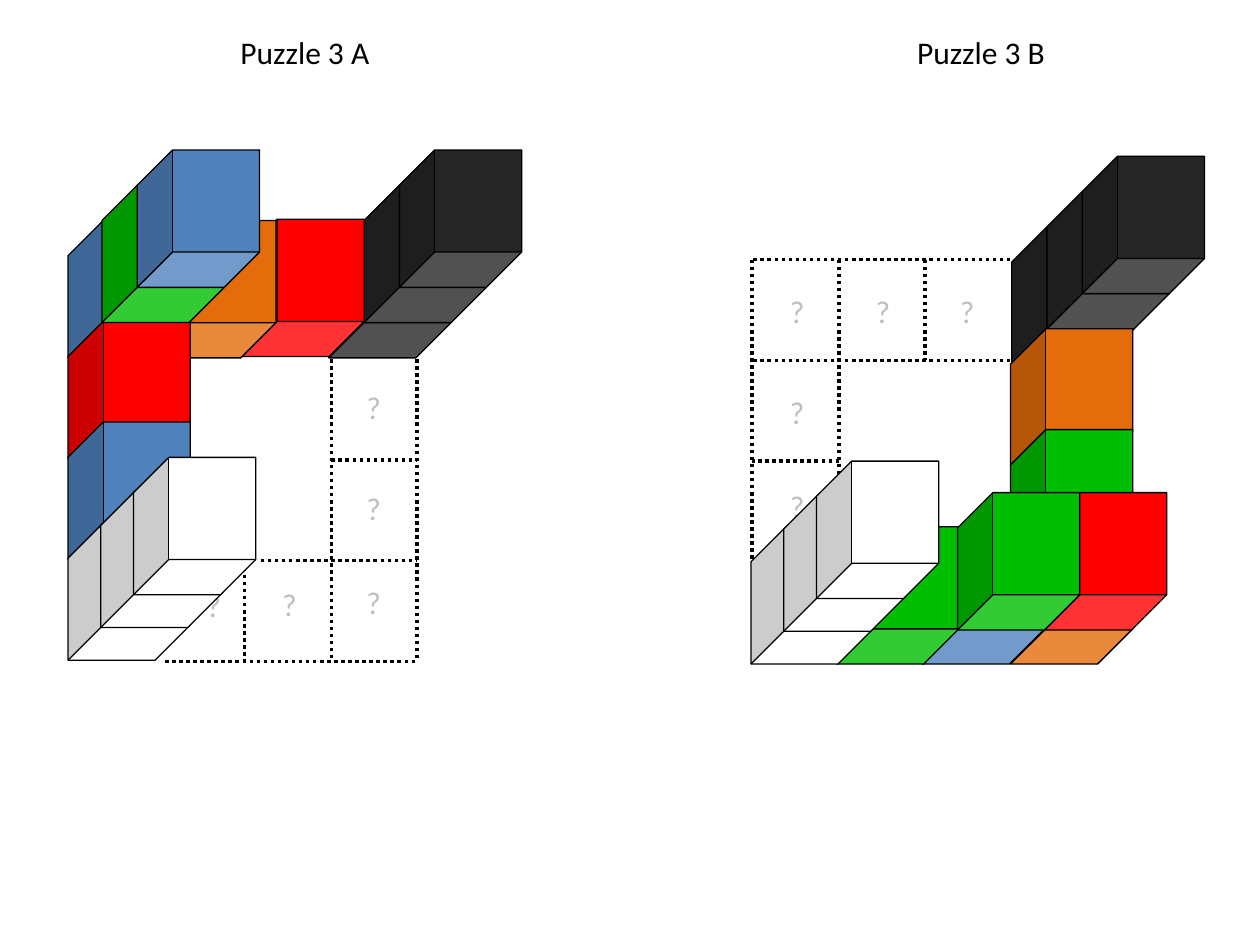
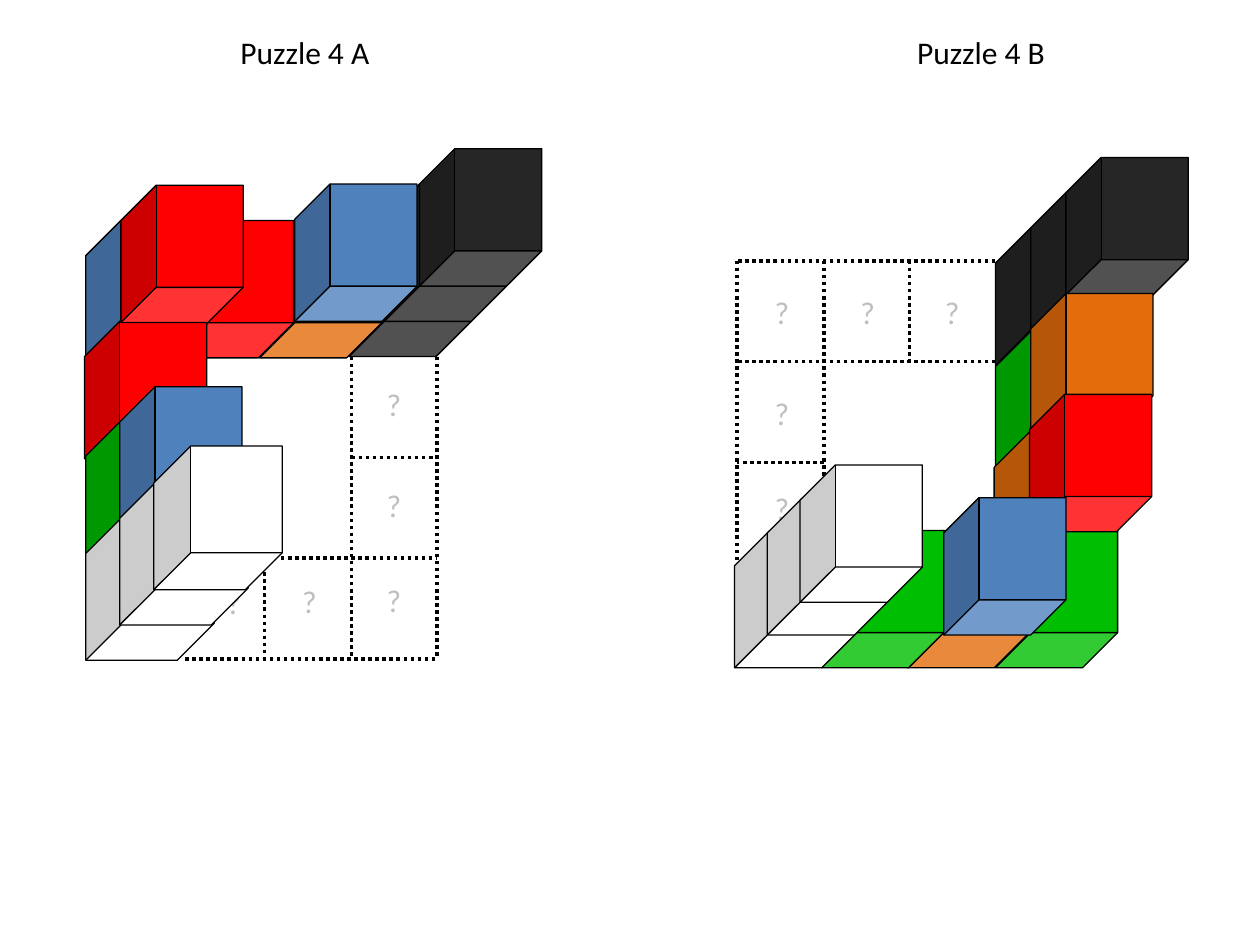
from dataclasses import dataclass
from typing import Any

from lxml.etree import SubElement
from pptx import Presentation
from pptx.dml.color import RGBColor
from pptx.enum.dml import MSO_LINE
from pptx.enum.shapes import MSO_CONNECTOR, MSO_SHAPE
from pptx.enum.text import MSO_AUTO_SIZE
from pptx.oxml.ns import qn
from pptx.util import Inches, Pt

INK = RGBColor(0x00, 0x00, 0x00)
HINT = RGBColor(0xBF, 0xBF, 0xBF)
BLACK = RGBColor(0x26, 0x26, 0x26)
WHITE = RGBColor(0xFF, 0xFF, 0xFF)
RED = RGBColor(0xFF, 0x00, 0x00)
ORANGE = RGBColor(0xE4, 0x6C, 0x0A)
BLUE = RGBColor(0x4F, 0x81, 0xBD)
GREEN = RGBColor(0x00, 0xBF, 0x02)

FONT = {"name": "Calibri", "size": Pt(18)}
FRAME = {"word_wrap": False, "auto_size": MSO_AUTO_SIZE.SHAPE_TO_FIT_TEXT}
DOTTED = {"width": Pt(2), "dash_style": MSO_LINE.ROUND_DOT}
CUBE_DEPTH = 0.288
CELL_HEIGHT = 0.8
TEXT_HEIGHT = 0.4


@dataclass(frozen=True)
class Grid:
    lines: tuple[tuple[float, float, float, float], ...]
    marks: tuple[tuple[float, float], ...]


@dataclass(frozen=True)
class Cube:
    left: float
    top: float
    color: RGBColor
    width: float = 0.97
    height: float = 1.09


@dataclass(frozen=True)
class Rod:
    first: Cube
    step: tuple[float, float]
    count: int = 3


@dataclass(frozen=True)
class Puzzle:
    title: str
    title_left: float
    grid: Grid
    origin: tuple[float, float]
    pieces: tuple[Cube | Rod, ...]


LEFT_GRID = Grid(
    lines=(
        (0.63, 2 * CELL_HEIGHT, 0.63, 3 * CELL_HEIGHT),
        (1.32, 0, 1.32, 3 * CELL_HEIGHT),
        (2, 0, 2, 3 * CELL_HEIGHT),
        (1.32, CELL_HEIGHT, 2, CELL_HEIGHT),
        (0.76, 2 * CELL_HEIGHT, 2, 2 * CELL_HEIGHT),
        (0, 3 * CELL_HEIGHT, 2, 3 * CELL_HEIGHT),
    ),
    marks=((0.23, 1.75), (0.83, 1.74), (1.5, 0.18), (1.5, 0.98), (1.5, 1.73)),
)
RIGHT_GRID = Grid(
    lines=(
        (0, 0, 0, 3 * CELL_HEIGHT),
        (0.69, 0, 0.69, 3 * CELL_HEIGHT),
        (1.37, 0, 1.37, CELL_HEIGHT),
        (2.05, 0, 0, 0),
        (2.05, CELL_HEIGHT, 0, CELL_HEIGHT),
        (0.69, 2 * CELL_HEIGHT, 0, 2 * CELL_HEIGHT),
    ),
    marks=((0.2, 0.21), (0.88, 0.21), (1.55, 0.21), (0.2, 1.01), (0.2, 1.76)),
)
LEFT_TITLE = 1.81
RIGHT_TITLE = 7.18
BLACK_STEP = (0.28, -0.28)
WHITE_STEP = (0.26, -0.26)

PAGES = (
    (
        Puzzle("Puzzle 3 A", LEFT_TITLE, LEFT_GRID, (1.31, 2.85), (
            Rod(Cube(2.61, 1.75, BLACK), BLACK_STEP),
            Cube(1.92, 1.74, RED),
            Cube(1.22, 1.75, ORANGE),
            Cube(0.54, 1.75, BLUE),
            Cube(0.54, 2.55, RED),
            Cube(0.54, 3.35, BLUE),
            Rod(Cube(0.54, 4.15, WHITE), WHITE_STEP),
            Cube(0.81, 1.47, GREEN),
            Cube(1.09, 1.19, BLUE),
        )),
        Puzzle("Puzzle 3 B", RIGHT_TITLE, RIGHT_GRID, (5.97, 2.06), (
            Rod(Cube(8.03, 1.8, BLACK), BLACK_STEP),
            Cube(8.02, 2.61, ORANGE),
            Cube(8.02, 3.41, GREEN),
            Cube(8.02, 4.18, ORANGE),
            Cube(7.32, 4.18, BLUE),
            Cube(6.64, 4.18, GREEN),
            Rod(Cube(5.96, 4.18, WHITE), WHITE_STEP),
            Cube(8.29, 3.91, RED),
            Cube(7.6, 3.91, GREEN),
        )),
    ),
    (
        Puzzle("Puzzle 4 A", LEFT_TITLE, LEFT_GRID, (1.47, 2.83), (
            Rod(Cube(2.77, 1.74, BLACK), BLACK_STEP),
            Cube(2.06, 1.75, ORANGE),
            Cube(1.36, 1.75, RED),
            Cube(0.68, 1.75, BLUE),
            Cube(0.67, 2.55, RED),
            Cube(2.34, 1.46, BLUE),
            Cube(0.96, 1.47, RED),
            Cube(0.68, 3.34, GREEN),
            Cube(0.95, 3.07, BLUE),
            Rod(Cube(0.68, 4.1, WHITE, 1.02, 1.14), (0.27, -0.28)),
        )),
        Puzzle("Puzzle 4 B", RIGHT_TITLE, RIGHT_GRID, (5.85, 2.07), (
            Rod(Cube(7.9, 1.81, BLACK), BLACK_STEP),
            Cube(7.9, 2.63, GREEN),
            Cube(7.89, 3.43, ORANGE),
            Cube(7.9, 4.21, GREEN),
            Cube(7.2, 4.21, ORANGE),
            Cube(6.52, 4.21, GREEN),
            Cube(8.18, 2.33, ORANGE),
            Cube(8.17, 3.13, RED),
            Cube(7.49, 3.95, BLUE),
            Rod(Cube(5.83, 4.21, WHITE), WHITE_STEP),
        )),
    ),
)


def apply_format(target: Any, values: dict[str, Any]) -> None:
    for name, value in values.items():
        setattr(target, name, value)


def add_text(shapes: Any, text: str, left: float, top: float, width: float, color: RGBColor) -> None:
    box = shapes.add_textbox(Inches(left), Inches(top), Inches(width), Inches(TEXT_HEIGHT))
    apply_format(box.text_frame, FRAME)
    span = box.text_frame.paragraphs[0].add_run()
    span.text = text
    apply_format(span.font, FONT)
    span.font.color.rgb = color


def add_dotted_line(shapes: Any, x1: float, y1: float, x2: float, y2: float) -> None:
    connector = shapes.add_connector(
        MSO_CONNECTOR.STRAIGHT, Inches(x1), Inches(y1), Inches(x2), Inches(y2)
    )
    connector.line.color.rgb = INK
    apply_format(connector.line, DOTTED)
    SubElement(connector._element.spPr, qn("a:effectLst"))


def add_grid(page: Any, grid: Grid, origin: tuple[float, float]) -> None:
    shapes = page.shapes.add_group_shape().shapes
    left, top = origin
    for x, y in grid.marks:
        add_text(shapes, "?", left + x, top + y, 0.32, HINT)
    for x1, y1, x2, y2 in grid.lines:
        add_dotted_line(shapes, left + x1, top + y1, left + x2, top + y2)


def add_cube(shapes: Any, cube: Cube) -> None:
    shape = shapes.add_shape(
        MSO_SHAPE.CUBE,
        Inches(cube.left), Inches(cube.top), Inches(cube.width), Inches(cube.height),
    )
    shape.adjustments[0] = CUBE_DEPTH
    shape.rotation = 180
    shape.shadow.inherit = False
    shape.fill.solid()
    shape.fill.fore_color.rgb = cube.color
    shape.line.color.rgb = INK
    shape.line.width = Pt(0.75)


def add_rod(page: Any, rod: Rod) -> None:
    shapes = page.shapes.add_group_shape().shapes
    first, (right, down) = rod.first, rod.step
    for index in range(rod.count):
        add_cube(shapes, Cube(
            first.left + index * right, first.top + index * down,
            first.color, first.width, first.height,
        ))


def add_puzzle(page: Any, puzzle: Puzzle) -> None:
    add_grid(page, puzzle.grid, puzzle.origin)
    for piece in puzzle.pieces:
        if isinstance(piece, Rod):
            add_rod(page, piece)
        else:
            add_cube(page.shapes, piece)
    add_text(page.shapes, puzzle.title, puzzle.title_left, 0.21, 1.24, INK)


deck = Presentation()
deck.slide_width = Inches(10)
deck.slide_height = Inches(7.5)
for puzzles in PAGES:
    page = deck.slides.add_slide(deck.slide_layouts[6])
    for puzzle in puzzles:
        add_puzzle(page, puzzle)
deck.save("out.pptx")
